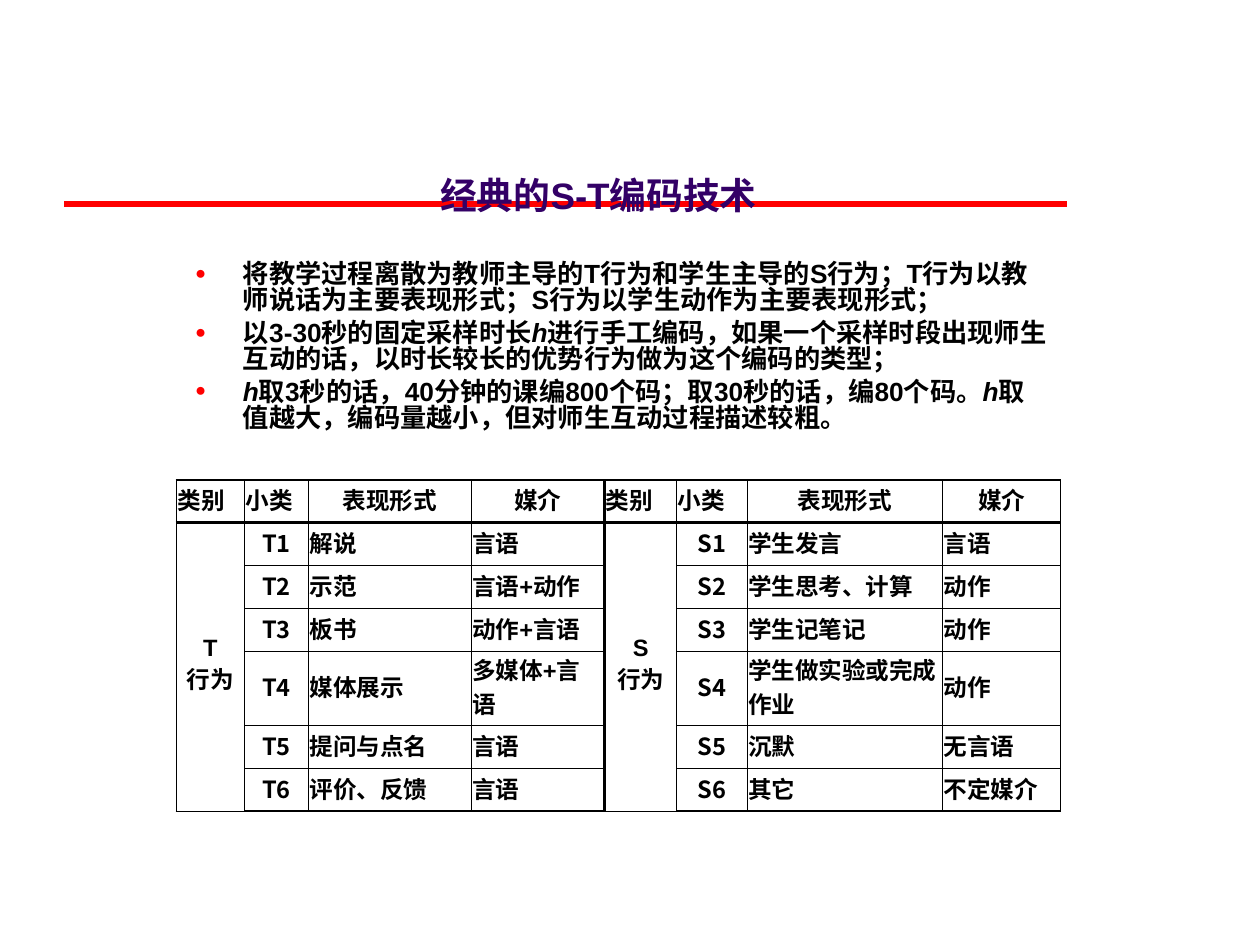
from dataclasses import dataclass

from lxml.etree import SubElement
from pptx import Presentation
from pptx.dml.color import RGBColor
from pptx.enum.shapes import MSO_CONNECTOR
from pptx.enum.text import MSO_ANCHOR as Anchor, MSO_AUTO_SIZE as AutoSize, PP_ALIGN as Align
from pptx.oxml.ns import qn
from pptx.util import Emu, Inches, Pt

BLACK = RGBColor(0x00, 0x00, 0x00)
RED = RGBColor(0xFF, 0x00, 0x00)
PURPLE = RGBColor(0x33, 0x00, 0x66)
LATIN, CHINESE = "Arial", "Noto Sans CJK SC"

# The page is a grid of 100 columns by 75 rows of square units
UNIT = Inches(0.1)
PAGE_COLUMNS, PAGE_ROWS = 100, 75


@dataclass(frozen=True)
class Box:
    left: float
    top: float
    width: float
    height: float

    def lengths(self) -> tuple:
        return tuple(units(n) for n in (self.left, self.top, self.width, self.height))


@dataclass(frozen=True)
class Behaviour:
    code: str
    form: str
    medium: str


TITLE_BOX = Box(15.7, 11.7, 63.6, 6)
BODY_BOX = Box(14.5, 20.4, 69.8, 16.3)
TABLE_BOX = Box(14, 38.1, 70.3, 26.2)
RULE_LEFT, RULE_RIGHT, RULE_TOP = 5.1, 84.7, 16.2
COLUMN_WIDTHS = (5.4, 5.1, 12.9, 10.6, 5.7, 5.6, 15.5, 9.4)
ROW_HEIGHTS = (3.4, 3.4, 3.4, 3.4, 5.9, 3.4, 3.4)

# Each point is a list of spans; the variable "h" is set in italics
POINTS = (
    ("将教学过程离散为教师主导的T行为和学生主导的S行为；T行为以教师说话为主要表现形式；"
     "S行为以学生动作为主要表现形式；",),
    ("以3-30秒的固定采样时长", "h",
     "进行手工编码，如果一个采样时段出现师生互动的话，以时长较长的优势行为做为这个编码的类型；"),
    ("h", "取3秒的话，40分钟的课编800个码；取30秒的话，编80个码。", "h",
     "取值越大，编码量越小，但对师生互动过程描述较粗。"),
)
HEADINGS = ("类别", "小类", "表现形式", "媒介")
TEACHER = (
    Behaviour("T1", "解说", "言语"),
    Behaviour("T2", "示范", "言语+动作"),
    Behaviour("T3", "板书", "动作+言语"),
    Behaviour("T4", "媒体展示", "多媒体+言语"),
    Behaviour("T5", "提问与点名", "言语"),
    Behaviour("T6", "评价、反馈", "言语"),
)
STUDENT = (
    Behaviour("S1", "学生发言", "言语"),
    Behaviour("S2", "学生思考、计算", "动作"),
    Behaviour("S3", "学生记笔记", "动作"),
    Behaviour("S4", "学生做实验或完成作业", "动作"),
    Behaviour("S5", "沉默", "无言语"),
    Behaviour("S6", "其它", "不定媒介"),
)


def units(count: float) -> Emu:
    return Emu(round(count * UNIT))


def style_span(span, size: float, color: RGBColor, latin: str = LATIN) -> None:
    font = span.font
    font.size, font.bold, font.name = Pt(size), True, latin
    font.color.rgb = color
    SubElement(span._r.get_or_add_rPr(), qn("a:ea")).set("typeface", CHINESE)


def place_title(page) -> None:
    title = page.shapes.title
    title.left, title.top, title.width, title.height = TITLE_BOX.lengths()
    frame = title.text_frame
    frame.text = "经典的S-T编码技术"
    frame.auto_size, frame.vertical_anchor = AutoSize.NONE, Anchor.BOTTOM
    para = frame.paragraphs[0]
    para.alignment = Align.CENTER
    style_span(para.runs[0], 21, PURPLE)


def draw_rule(page) -> None:
    rule = page.shapes.add_connector(
        MSO_CONNECTOR.STRAIGHT, units(RULE_LEFT), units(RULE_TOP),
        units(RULE_RIGHT), units(RULE_TOP))
    rule.line.color.rgb, rule.line.width = RED, Pt(3)
    SubElement(rule.element.spPr, qn("a:effectLst"))
    page.shapes.title.element.addprevious(rule.element)  # behind the title


def add_bullet(para) -> None:
    properties = para._p.get_or_add_pPr()
    properties.set("marL", str(units(3.8)))
    properties.set("indent", str(-units(3.8)))
    color = SubElement(properties, qn("a:buClr"))
    SubElement(color, qn("a:srgbClr")).set("val", str(RED))
    SubElement(properties, qn("a:buSzPct")).set("val", "70000")
    SubElement(properties, qn("a:buFont")).set("typeface", LATIN)
    SubElement(properties, qn("a:buChar")).set("char", "●")


def draw_points(page) -> None:
    frame = page.shapes.add_textbox(*BODY_BOX.lengths()).text_frame
    frame.word_wrap = True
    for index, point in enumerate(POINTS):
        para = frame.add_paragraph() if index else frame.paragraphs[0]
        para.alignment = Align.LEFT
        para.line_spacing, para.space_before = 0.82, Pt(4)
        add_bullet(para)
        for text in point:
            span = para.add_run()
            span.text = text
            style_span(span, 15, BLACK)
            span.font.italic = text == "h"


def set_borders(cell, widths: dict) -> None:
    properties = cell._tc.get_or_add_tcPr()
    for side in ("L", "R", "T", "B"):
        line = SubElement(properties, qn(f"a:ln{side}"), w=str(Pt(widths[side])))
        fill = SubElement(line, qn("a:solidFill"))
        SubElement(fill, qn("a:srgbClr")).set("val", str(BLACK))


def border_widths(row: int, column: int) -> dict:
    """Heavy lines under the header and between halves, medium at the edges."""
    half, last_row = len(HEADINGS), len(ROW_HEIGHTS) - 1
    bottom = 0.5 if column % half == 0 else 1
    return {
        "L": {0: 1, half: 2}.get(column, 0.5),
        "R": {half - 1: 2, 2 * half - 1: 1}.get(column, 0.5),
        "T": {0: 1, 1: 2}.get(row, 0.5),
        "B": {0: 2, last_row: bottom}.get(row, 0.5),
    }


def fill_cell(cell, text: str, centred: bool, latin: str = LATIN) -> None:
    cell.text = text
    for para in cell.text_frame.paragraphs:
        para.alignment = Align.CENTER if centred else Align.LEFT
        for span in para.runs:
            style_span(span, 13.5, BLACK, latin)


def fill_half(table, first: int, category: str, behaviours: tuple) -> None:
    for offset, heading in enumerate(HEADINGS):
        fill_cell(table.cell(0, first + offset), heading, centred=offset > 1)
    group = table.cell(1, first)
    group.merge(table.cell(len(behaviours), first))
    fill_cell(group, category, centred=True)
    for row, item in enumerate(behaviours, start=1):
        fill_cell(table.cell(row, first + 1), item.code, True, CHINESE)
        fill_cell(table.cell(row, first + 2), item.form, False)
        fill_cell(table.cell(row, first + 3), item.medium, False)


def draw_table(page) -> None:
    table = page.shapes.add_table(
        len(ROW_HEIGHTS), len(COLUMN_WIDTHS), *TABLE_BOX.lengths()).table
    table.first_row = table.horz_banding = False
    for column, width in zip(table.columns, COLUMN_WIDTHS):
        column.width = units(width)
    for row, height in zip(table.rows, ROW_HEIGHTS):
        row.height = units(height)
    for r, row in enumerate(table.rows):
        for c, cell in enumerate(row.cells):
            set_borders(cell, border_widths(r, c))
            cell.fill.background()
            cell.vertical_anchor = Anchor.MIDDLE
            cell.margin_left = cell.margin_right = cell.margin_top = units(0.1)
            cell.margin_bottom = units(0.4)
    fill_half(table, 0, "T\n行为", TEACHER)
    fill_half(table, len(HEADINGS), "S\n行为", STUDENT)


def main() -> None:
    deck = Presentation()
    deck.slide_width, deck.slide_height = units(PAGE_COLUMNS), units(PAGE_ROWS)
    page = deck.slides.add_slide(deck.slide_layouts[5])
    place_title(page)
    draw_rule(page)
    draw_points(page)
    draw_table(page)
    deck.save("out.pptx")


if __name__ == "__main__":
    main()
